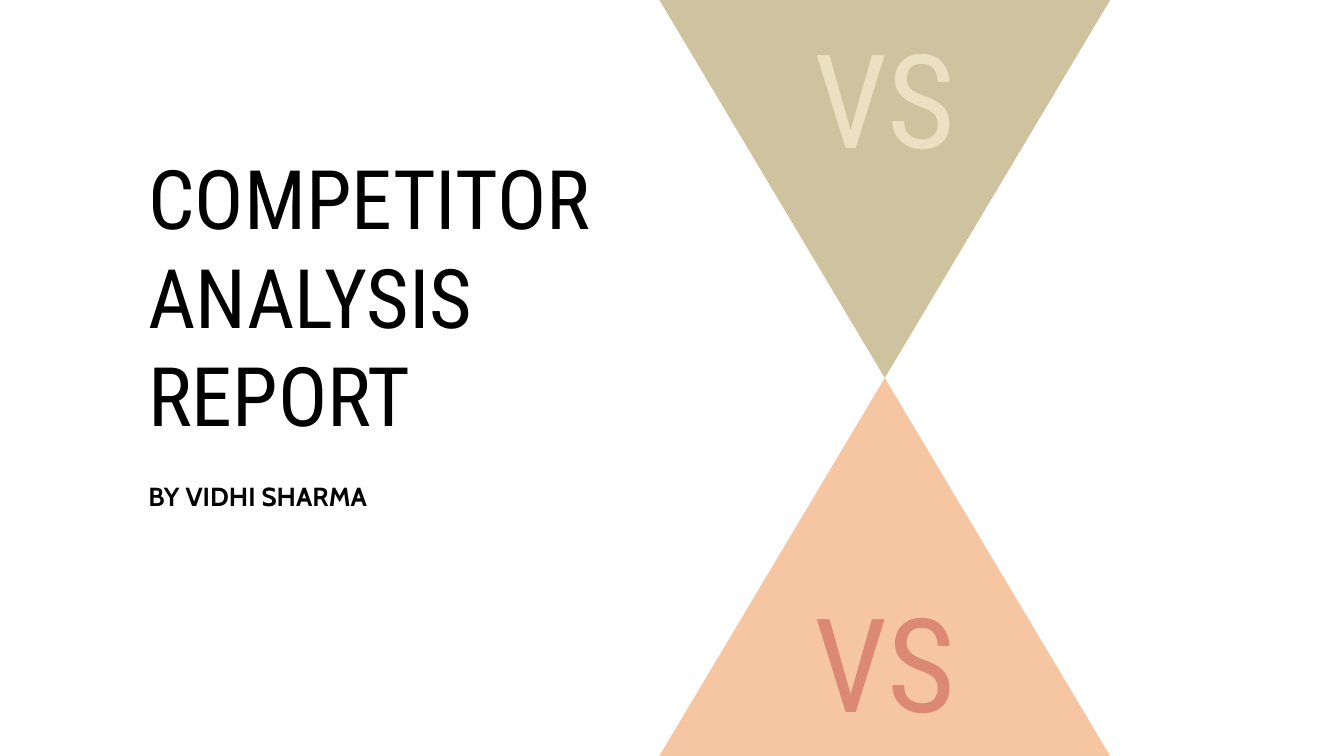
"""Build the cover slide of a competitor analysis report."""
from pptx import Presentation
from pptx.dml.color import RGBColor
from pptx.enum.shapes import MSO_SHAPE as Shape
from pptx.enum.text import MSO_ANCHOR as Anchor, PP_ALIGN as Align
from pptx.util import Pt

PX = 9525
HEADING_FONT = "Roboto Condensed"


def color(hex_code):
    return RGBColor.from_string(hex_code)


def write(shape, text, font_name, size, hex_code, top=10, bottom=10):
    frame = shape.text_frame
    frame.word_wrap = True
    frame.vertical_anchor = Anchor.MIDDLE
    frame.margin_left = frame.margin_right = 10 * PX
    frame.margin_top, frame.margin_bottom = top * PX, bottom * PX
    frame.text = text
    paragraph = frame.paragraphs[0]
    paragraph.font.name = font_name
    paragraph.font.size = Pt(size)
    paragraph.font.color.rgb = color(hex_code)
    return paragraph


deck = Presentation()
deck.slide_width, deck.slide_height = 960 * PX, 540 * PX
slide = deck.slides.add_slide(deck.slide_layouts[6])

title_box = slide.shapes.add_textbox(96 * PX, 169 * PX, 432 * PX, 154 * PX)
title = write(title_box, "COMPETITOR\vANALYSIS\vREPORT", HEADING_FONT, 44, "000000", bottom=80)
title.line_spacing = Pt(52.6)

author_box = slide.shapes.add_textbox(96 * PX, 336 * PX, 432 * PX, 36 * PX)
author = write(author_box, "BY VIDHI SHARMA", "Cabin", 14, "000000")
author.font.bold = True

for kind, y, fill, ink, inset in (
    (Shape.FLOWCHART_MERGE, 0, "CEC39E", "EBE1C2", 13),
    (Shape.FLOWCHART_EXTRACT, 270, "F6C6A2", "DB8875", 9),
):
    triangle = slide.shapes.add_shape(kind, 471 * PX, y * PX, 322 * PX, 270 * PX)
    triangle.shadow.inherit = False
    triangle.fill.solid()
    triangle.fill.fore_color.rgb = color(fill)
    triangle.line.fill.background()
    versus = write(triangle, "VS", HEADING_FONT, 70, ink, top=inset)
    versus.alignment = Align.CENTER

deck.save("out.pptx")
